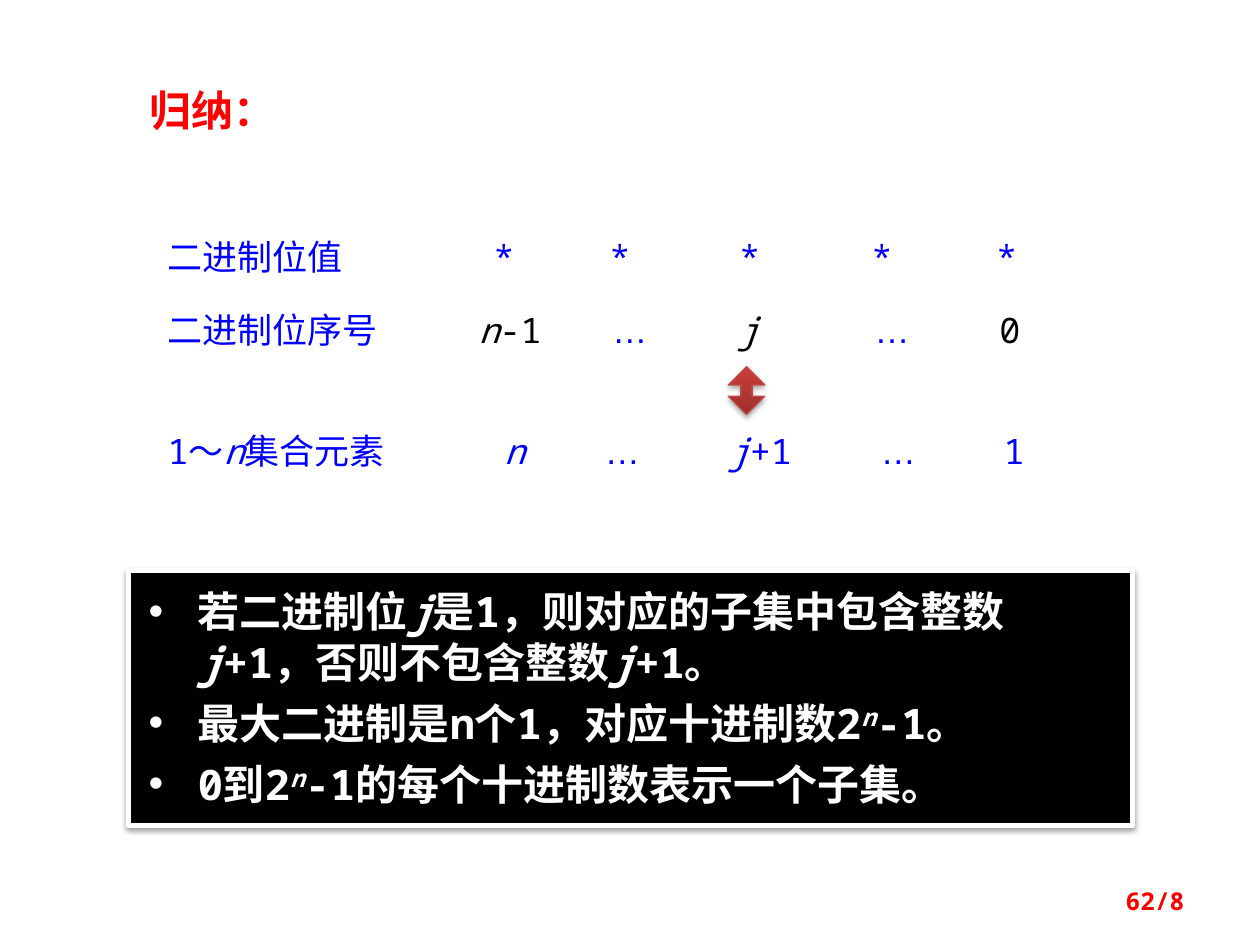
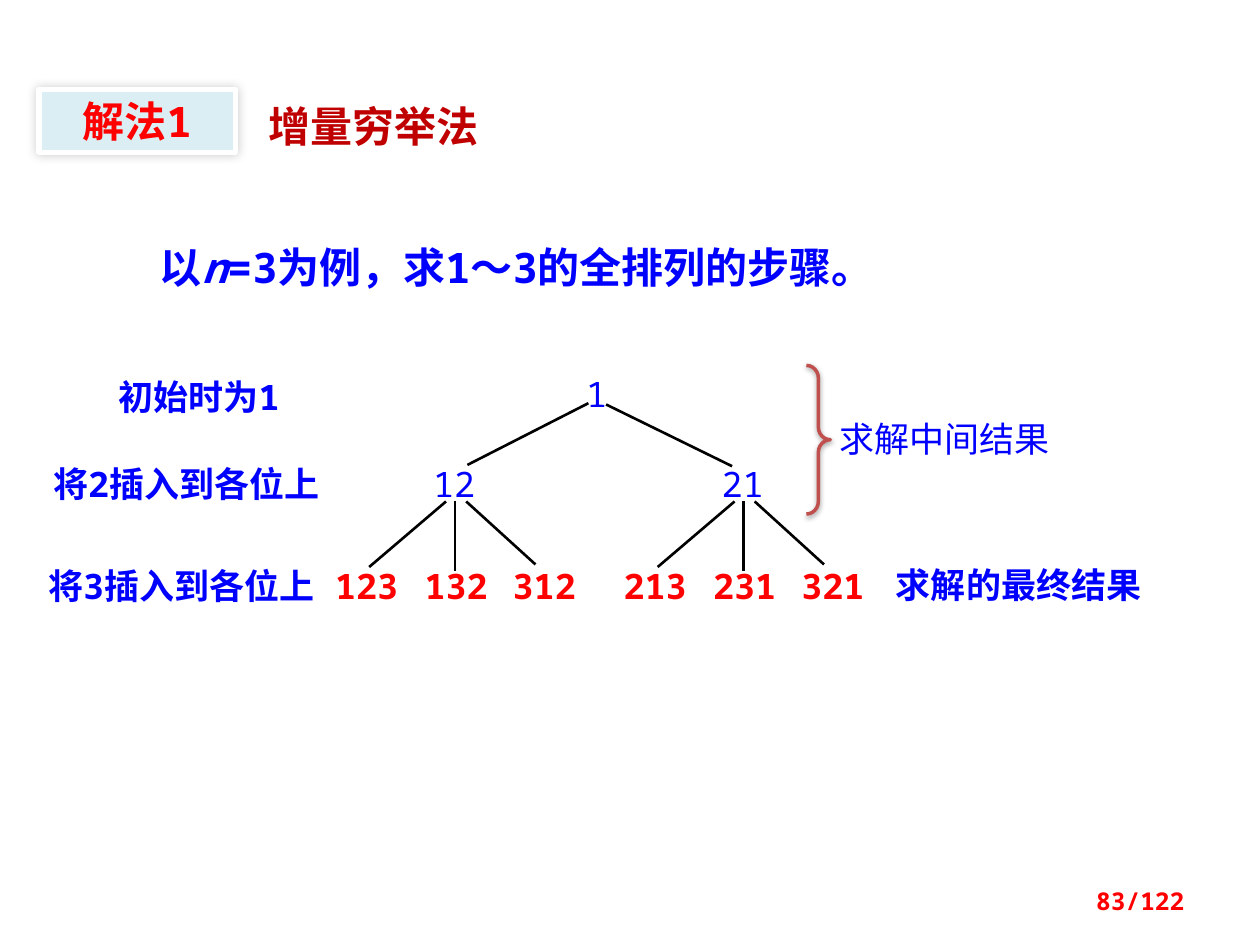
from lxml import etree
from pptx import Presentation
from pptx.dml.color import RGBColor
from pptx.enum.shapes import MSO_CONNECTOR, MSO_SHAPE
from pptx.enum.text import MSO_ANCHOR, PP_ALIGN
from pptx.oxml.ns import qn
from pptx.util import Pt

EMU_PER_PX = 9144
MONO, CJK, ARIAL = "Noto Sans Mono", "Noto Sans CJK SC", "Arial"
RED, DARK_RED, BLUE = "FF0000", "C00000", "0000FF"
BLACK, WHITE, PALE_BLUE = "000000", "FFFFFF", "DBEEF4"
LABEL = {"size": 20, "color": BLUE}
RESULT = {"size": 20, "color": RED, "bold": True}
STEP = {"size": 20, "color": BLUE, "bold": True}
HEADING = {"size": 24, "color": RED, "bold": True}


def px(value):
    return round(value * EMU_PER_PX)


def rgb(color):
    return RGBColor.from_string(color)


def box_of(*lengths):
    return [px(length) for length in lengths]


def add_effects(shape, shadow=None):
    effects = etree.SubElement(shape._element.spPr, qn("a:effectLst"))
    if shadow:
        alpha, blur, distance, angle = shadow
        outer = etree.SubElement(
            effects, qn("a:outerShdw"), blurRad=str(Pt(blur)), dist=str(Pt(distance)),
            dir=str(angle * 60000), algn="ctr", rotWithShape="0")
        color = etree.SubElement(outer, qn("a:srgbClr"), val=BLACK)
        etree.SubElement(color, qn("a:alpha"), val=str(alpha * 1000))


def write(paragraph, text, size, color, font=MONO, bold=False):
    for index, part in enumerate(text.split("_")):
        if not part:
            continue
        run = paragraph.add_run()
        run.text = part.lstrip("^")
        formats = {"name": font, "size": Pt(size), "bold": bold, "italic": index % 2 == 1}
        for name, value in formats.items():
            setattr(run.font, name, value)
        run.font.color.rgb = rgb(color)
        properties = run.font._element
        if part.startswith("^"):
            properties.set("baseline", "30000")
        if font != ARIAL:
            latin = properties.find(qn("a:latin"))
            latin.addnext(latin.makeelement(qn("a:ea"), {"typeface": CJK}))


def set_frame(shape, insets, anchor=MSO_ANCHOR.TOP):
    frame = shape.text_frame
    frame.word_wrap = True
    frame.vertical_anchor = anchor
    for side, inset in zip(("left", "top", "right", "bottom"), insets):
        setattr(frame, f"margin_{side}", px(inset))
    return frame


def add_text(slide, box, text, style, align=PP_ALIGN.LEFT, anchor=MSO_ANCHOR.TOP):
    shape = slide.shapes.add_textbox(*box_of(*box))
    paragraph = set_frame(shape, (10, 5, 10, 5), anchor).paragraphs[0]
    paragraph.alignment = align
    write(paragraph, text, **style)


def add_shape(slide, kind, box, fill=None, line=None, shadow=None, adjustments=()):
    shape = slide.shapes.add_shape(kind, *box_of(*box))
    for index, value in enumerate(adjustments):
        shape.adjustments[index] = value
    if fill:
        shape.fill.solid()
        shape.fill.fore_color.rgb = rgb(fill)
    else:
        shape.fill.background()
    if line:
        shape.line.color.rgb = rgb(line[0])
        shape.line.width = Pt(line[1])
    else:
        shape.line.fill.background()
    add_effects(shape, shadow)
    return shape


def add_label(slide, box, text, style, align=PP_ALIGN.CENTER):
    shape = add_shape(slide, MSO_SHAPE.RECTANGLE, box, WHITE)
    paragraph = set_frame(shape, (0, 0, 0, 0)).paragraphs[0]
    paragraph.alignment = align
    write(paragraph, text, **style)


def add_branch(slide, *ends):
    connector = slide.shapes.add_connector(MSO_CONNECTOR.STRAIGHT, *box_of(*ends))
    connector.line.color.rgb = rgb(BLACK)
    connector.line.width = Pt(1.5)
    add_effects(connector)


def add_bullets(slide, box, items):
    shape = add_shape(slide, MSO_SHAPE.RECTANGLE, box, BLACK, (WHITE, 3), (38, 3.1, 1.6, 90))
    frame = set_frame(shape, (16, 12, 10, 12))
    for index, item in enumerate(items):
        paragraph = frame.add_paragraph() if index else frame.paragraphs[0]
        properties = paragraph._p.get_or_add_pPr()
        properties.set("marL", str(px(39)))
        properties.set("indent", str(px(-39)))
        etree.SubElement(properties, qn("a:buFont"), typeface=ARIAL)
        etree.SubElement(properties, qn("a:buChar"), char="•")
        paragraph.alignment = PP_ALIGN.LEFT
        if index:
            paragraph.space_before = Pt(6)
        write(paragraph, item, 24, WHITE, bold=True)


def add_page_number(slide, text):
    style = {"size": 14, "color": RED, "bold": True}
    add_text(slide, (717, 695, 233, 40), text, style, PP_ALIGN.RIGHT, MSO_ANCHOR.MIDDLE)


def add_double_arrow(slide):
    arrow = add_shape(slide, MSO_SHAPE.UP_DOWN_ARROW, (578, 291, 29, 38), RED,
                      ("BF4C48", 0.75), (35, 3.1, 1.8, 90), (0.5, 0.305))
    arrow.fill.gradient()
    arrow.fill.gradient_angle = 90
    for stop, color in zip(arrow.fill.gradient_stops, ("9C2F2D", "CB3E3A")):
        stop.color.rgb = rgb(color)


def build_summary(slide):
    add_text(slide, (109, 62, 156, 50), "归纳：", {**HEADING, "font": CJK})
    index = {**LABEL, "color": BLACK}
    dots = {**LABEL, "font": ARIAL}
    rows = [
        (187, "二进制位值", [(left, 28, "*", LABEL) for left in (386, 478, 581, 686, 785)]),
        (245, "二进制位序号", [(378, 54, "_n_-1", index), (473, 54, "…", dots),
                         (578, 33, "_j_", index), (681, 54, "…", dots),
                         (785, 33, "0", index)]),
        (341, "1～_n_集合元素", [(386, 45, "_n_", LABEL), (467, 54, "…", dots),
                           (574, 59, "_j_+1", LABEL), (686, 54, "…", dots),
                           (787, 36, "1", LABEL)]),
    ]
    for top, name, cells in rows:
        add_label(slide, (133, top, 220, 34), name, LABEL, PP_ALIGN.LEFT)
        for left, width, text, style in cells:
            add_label(slide, (left, top, width, 34), text, style)
    add_double_arrow(slide)
    add_bullets(slide, (102, 453, 797, 202), [
        "若二进制位_j_是1，则对应的子集中包含整数_j_+1，否则不包含整数_j_+1。",
        "最大二进制是n个1，对应十进制数2_^n_-1。",
        "0到2_^n_-1的每个十进制数表示一个子集。",
    ])
    add_page_number(slide, "62/8")


def add_subtree(slide, shift, parent, leaves):
    add_label(slide, (342 + shift, 367, 37, 37), parent, LABEL)
    for left, leaf in zip((265, 336, 406), leaves):
        add_label(slide, (left + shift, 448, 52, 37), leaf, RESULT)
    for start, end, bottom in ((354, 293, 450), (361, 361, 453), (370, 425, 448)):
        add_branch(slide, start + shift, 398, end + shift, bottom)


def build_permutations(slide):
    badge = add_shape(slide, MSO_SHAPE.RECTANGLE, (31, 71, 156, 50), PALE_BLUE,
                      (WHITE, 3), (20, 6, 0, 225))
    paragraph = set_frame(badge, (10, 5, 10, 5)).paragraphs[0]
    paragraph.alignment = PP_ALIGN.CENTER
    write(paragraph, "解法1", **HEADING)
    add_text(slide, (203, 75, 273, 50), "增量穷举法",
             {**HEADING, "color": DARK_RED, "font": CJK})
    add_text(slide, (117, 187, 578, 50), "以_n_=3为例，求1～3的全排列的步骤。",
             {**HEADING, "color": BLUE})
    add_label(slide, (455, 296, 37, 37), "1", LABEL)
    for left, top, width, text, style in (
            (55, 298, 206, "初始时为1", STEP),
            (31, 367, 234, "将2插入到各位上", STEP),
            (23, 448, 242, "将3插入到各位上", STEP),
            (663, 331, 173, "求解中间结果", LABEL),
            (703, 447, 211, "求解的最终结果", STEP)):
        add_label(slide, (left, top, width, 37), text, style)
    add_subtree(slide, 0, "12", ("123", "132", "312"))
    add_subtree(slide, 229, "21", ("213", "231", "321"))
    add_branch(slide, 467, 320, 371, 369)
    add_branch(slide, 481, 321, 581, 370)
    add_shape(slide, MSO_SHAPE.RIGHT_BRACE, (640, 290, 19, 118), None,
              ("C0504D", 2), (38, 3.1, 1.6, 90), (0.53, 0.5))
    add_page_number(slide, "83/122")


def main():
    presentation = Presentation()
    presentation.slide_width = px(1000)
    presentation.slide_height = px(750)
    for build in (build_summary, build_permutations):
        build(presentation.slides.add_slide(presentation.slide_layouts[6]))
    presentation.save("out.pptx")


if __name__ == "__main__":
    main()
